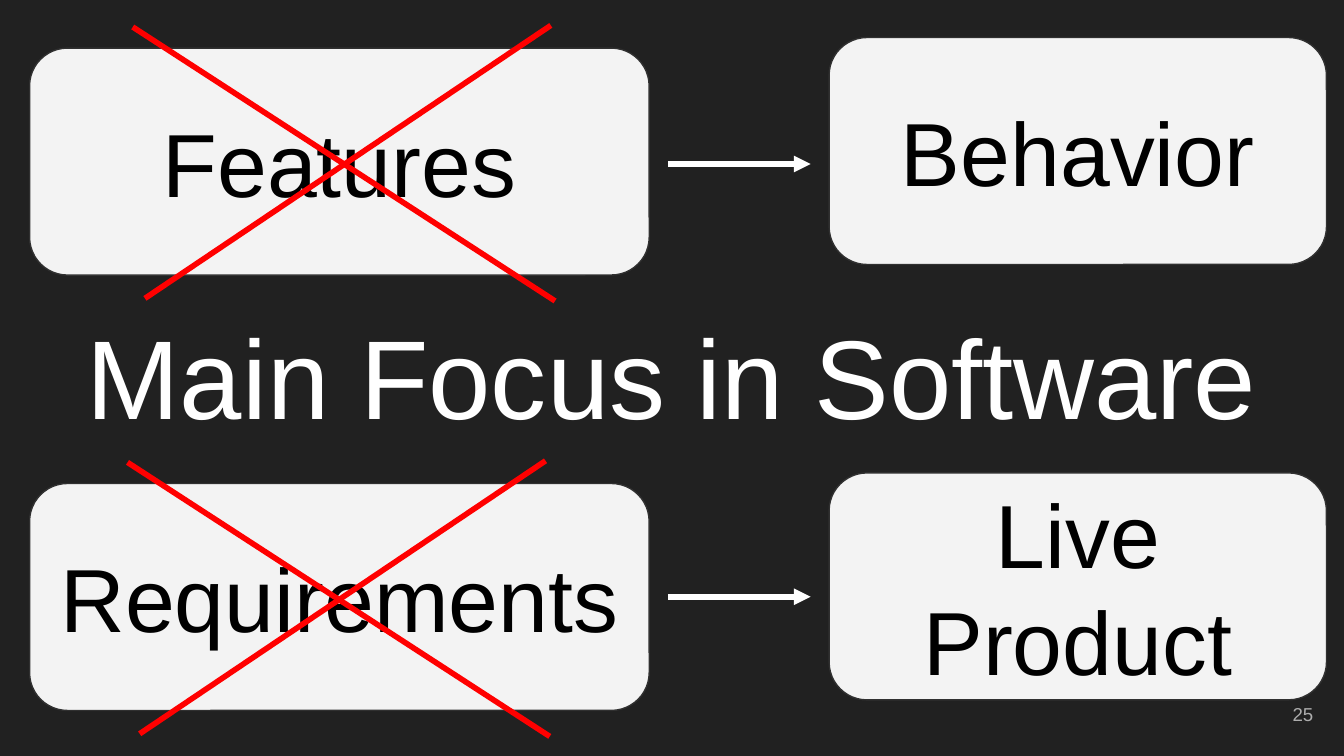
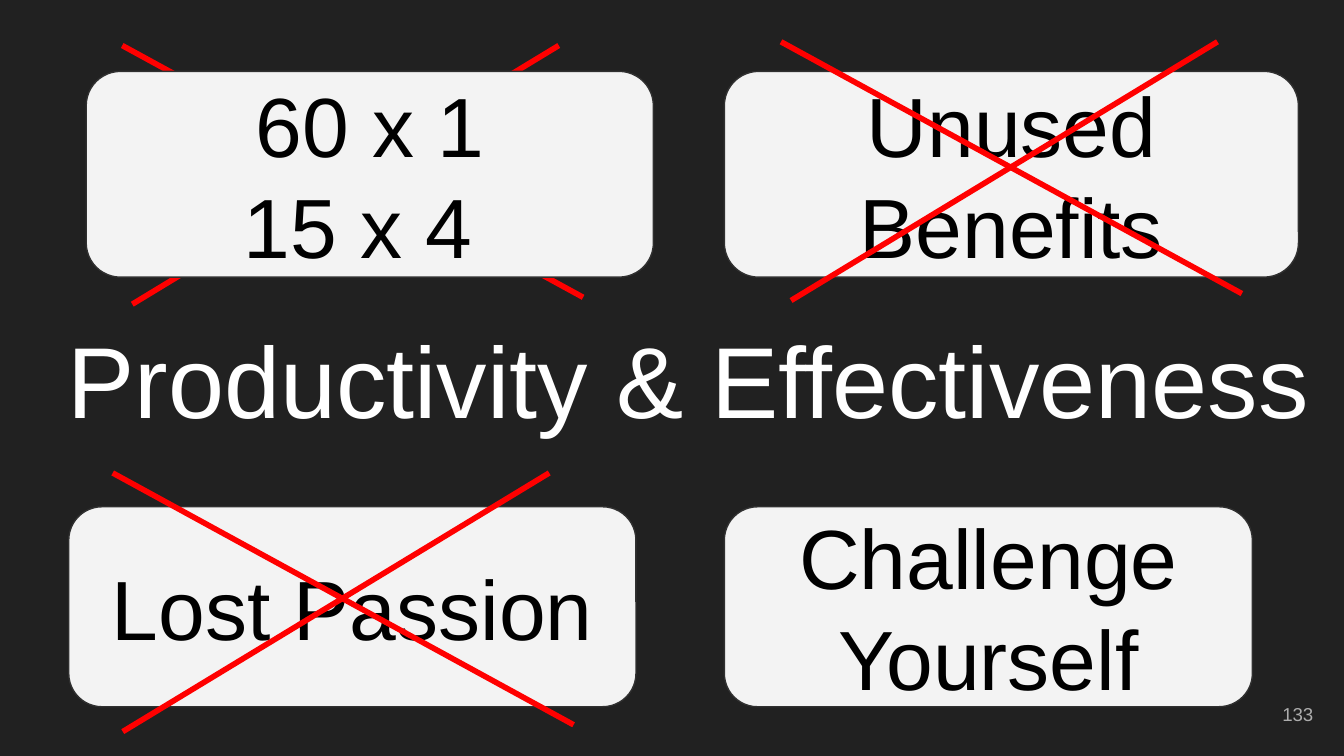
from lxml import etree
from pptx import Presentation
from pptx import util as u
from pptx.dml.color import RGBColor
from pptx.enum import shapes, text
from pptx.oxml.ns import qn

COLORS = {"back": "212121", "box": "F3F3F3", "edge": "303030", "ink": "000000",
          "light": "FFFFFF", "cross": "FF0000", "number": "ADADAD"}
FONT = "Arial"
NUMBER_AT = (23.55, 12.95, 1.52, 1.09)

# All lengths in cm. Boxes: lines, place. Crosses: top left corner.
# Strokes of a cross: start and end, relative to that corner.
SLIDES = [
    {
        "title": "Main Focus in Software", "title_at": (0.86, 5.92, 23.67, 2.34),
        "title_size": 60, "number": "25", "box_size": 48, "inset": 0.25,
        "crosses_behind": [],
        "boxes": [
            (["Features"], (0.56, 0.91, 11.71, 4.29)),
            (["Behavior"], (15.67, 0.71, 9.4, 4.29)),
            (["Requirements"], (0.56, 9.14, 11.71, 4.29)),
            (["Live Product"], (15.67, 8.94, 9.4, 4.29)),
        ],
        "arrows": [(12.62, 3.1, 15.32, 3.1), (12.62, 11.28, 15.32, 11.28)],
        "crosses": [(2.51, 0.51), (2.41, 8.74)],
        "strokes": [(0, 0, 7.98, 5.18), (0.23, 5.13, 7.9, -0.03)],
    },
    {
        "title": "Productivity & Effectiveness", "title_at": (0.97, 5.97, 24.08, 2.34),
        "title_size": 54, "number": "133", "box_size": 45, "inset": 0.18,
        "crosses_behind": [(2.31, 0.86)],
        "boxes": [
            (["60 x 1", "15 x 4 "], (1.63, 1.35, 10.72, 3.89)),
            (["Unused Benefits"], (13.69, 1.35, 10.85, 3.89)),
            (["Lost Passion"], (1.3, 9.58, 10.72, 3.78)),
            (["Challenge Yourself"], (13.69, 9.58, 9.98, 3.78)),
        ],
        "arrows": [],
        "crosses": [(14.76, 0.79), (2.13, 8.94)],
        "strokes": [(0, 0, 8.71, 4.76), (0.19, 4.89, 8.25, 0)],
    },
]


def rgb(name):
    return RGBColor.from_string(COLORS[name])


def cm(values):
    return [u.Cm(v) for v in values]


def write(sp, lines, size, color, align=text.PP_ALIGN.CENTER, inset=0.25):
    tf = sp.text_frame
    tf.word_wrap = True
    tf.auto_size = text.MSO_AUTO_SIZE.NONE
    tf.vertical_anchor = text.MSO_ANCHOR.MIDDLE
    tf.margin_left = tf.margin_right = tf.margin_top = tf.margin_bottom = u.Cm(inset)
    tf.text = "\n".join(lines)
    for p in tf.paragraphs:
        p.alignment = align
        p.font.name = FONT
        p.font.size = u.Pt(size)
        p.font.color.rgb = rgb(color)


def add_box(s, lines, place, size, inset):
    sp = s.shapes.add_shape(shapes.MSO_SHAPE.ROUNDED_RECTANGLE, *cm(place))
    sp.shadow.inherit = False
    sp.fill.solid()
    sp.fill.fore_color.rgb = rgb("box")
    sp.line.color.rgb = rgb("edge")
    sp.line.width = u.Pt(0.75)
    write(sp, lines, size, "ink", inset=inset)


def add_line(s, ends, color, arrow=False):
    line = s.shapes.add_connector(shapes.MSO_CONNECTOR.STRAIGHT, *cm(ends))
    line.line.color.rgb = rgb(color)
    line.line.width = u.Pt(3)
    sp_pr = line._element.spPr
    if arrow:
        etree.SubElement(sp_pr.find(qn("a:ln")), qn("a:tailEnd"), type="triangle")
    etree.SubElement(sp_pr, qn("a:effectLst"))


def add_crosses(s, corners, strokes):
    for x, y in corners:
        for x1, y1, x2, y2 in strokes:
            add_line(s, (x + x1, y + y1, x + x2, y + y2), "cross")


def add_slide(prs, d):
    s = prs.slides.add_slide(prs.slide_layouts[5])

    # Title and slide number
    title = s.shapes.title
    title.left, title.top, title.width, title.height = cm(d["title_at"])
    write(title, [d["title"]], d["title_size"], "light")
    number = s.shapes.add_textbox(*cm(NUMBER_AT))
    write(number, [d["number"]], 10, "number", text.PP_ALIGN.RIGHT)

    # Boxes, arrows between them and crosses over them
    add_crosses(s, d["crosses_behind"], d["strokes"])
    for lines, place in d["boxes"]:
        add_box(s, lines, place, d["box_size"], d["inset"])
    for ends in d["arrows"]:
        add_line(s, ends, "light", arrow=True)
    add_crosses(s, d["crosses"], d["strokes"])


def main():
    prs = Presentation()
    prs.slide_width, prs.slide_height = cm((25.4, 14.29))
    fill = prs.slide_master.background.fill
    fill.solid()
    fill.fore_color.rgb = rgb("back")
    for d in SLIDES:
        add_slide(prs, d)
    prs.save("out.pptx")


if __name__ == "__main__":
    main()
